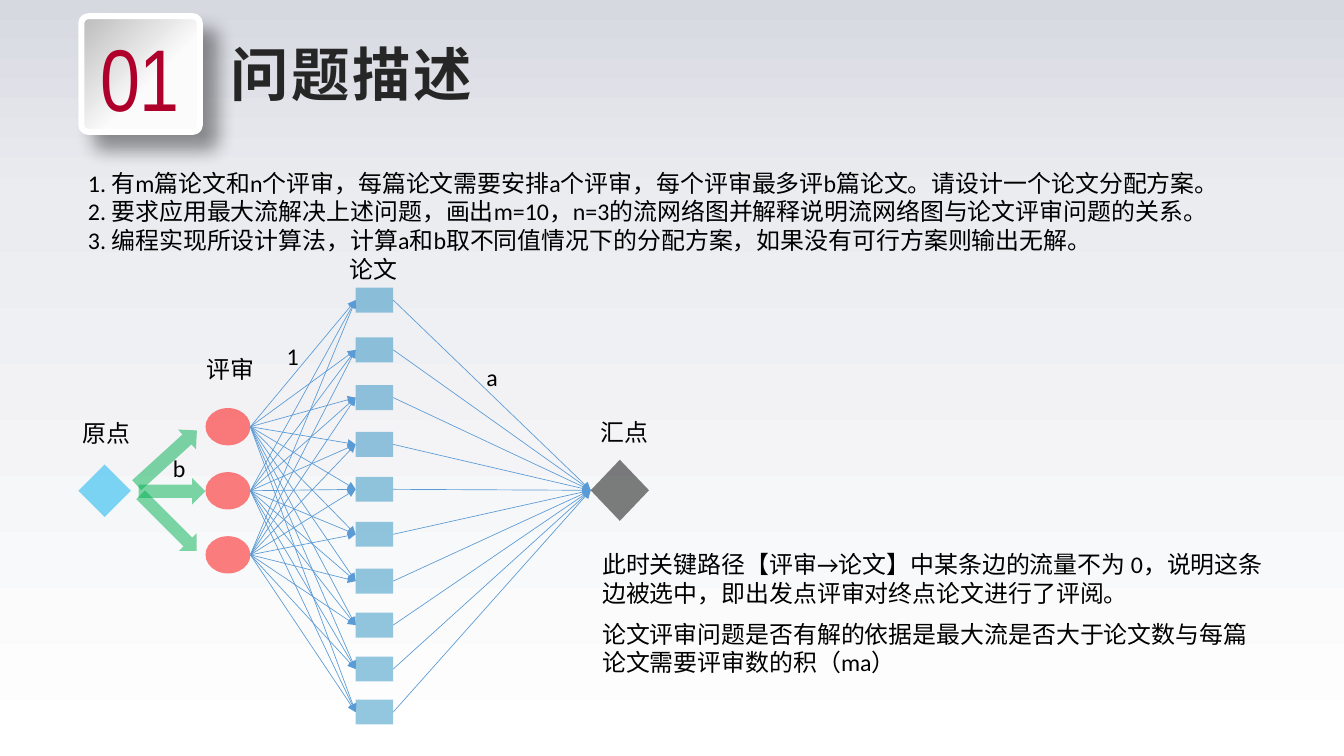
"""Builds the problem description slide with its paper review flow network."""
import lxml.etree
import pptx
import pptx.dml.color
import pptx.enum.shapes
import pptx.enum.text
import pptx.oxml.ns
import pptx.util

SHAPE = pptx.enum.shapes.MSO_SHAPE
ALIGN = pptx.enum.text.PP_ALIGN
LATIN, HAN, NUMERAL = "Calibri", "Noto Sans CJK SC", "Arial Narrow"
COLOURS = {
    "sky": "D7D9E1", "mist": "EBECF0", "white": "FFFFFF", "black": "000000",
    "title": "262626", "number": "AE002B", "card_dark": "BFBFBF", "card_light": "FBFBFB",
    "origin": "00B0F0", "reviewer": "FF0000", "supply": "00B050",
    "paper": "298EC0", "edge": "5B9BD5",
}
PAPER_ROWS = (38.05, 44.63, 50.95, 57.14, 63.08, 69.03, 75.22, 81.04, 86.85, 92.54)
SUPPLY_ARROWS = (
    ((10.31, 63.21, 4.98, 3.54), 0),
    ((9.39, 58.79, 6.05, 3.54), 317.7),
    ((9.6, 67.51, 5.9, 3.29), 45),
)
TASKS = (
    "1. 有m篇论文和n个评审，每篇论文需要安排a个评审，每个评审最多评b篇论文。请设计一个论文分配方案。",
    "2. 要求应用最大流解决上述问题，画出m=10，n=3的流网络图并解释说明流网络图与论文评审问题的关系。",
    "3. 编程实现所设计算法，计算a和b取不同值情况下的分配方案，如果没有可行方案则输出无解。",
)
LABELS = (
    ("b", (12.16, 59.42, 2.49, 5.06), LATIN),
    ("a", (35.49, 47.28, 2.49, 5.06), LATIN),
    ("1", (20.63, 44.5, 2.49, 5.06), LATIN),
    ("原点", (5.41, 55.37, 5.05, 5.06), HAN),
    ("汇点", (43.95, 55.25, 5.48, 5.06), HAN),
    ("评审", (14.65, 46.9, 5.12, 5.06), HAN),
    ("论文", (25.32, 33.63, 5.12, 5.06), HAN),
)
NOTES = (
    ("此时关键路径【评审→论文】中某条边的流量不为 0，说明这条边被选中，即出发点评审对终点论文进行了评阅。", 72.06),
    ("论文评审问题是否有解的依据是最大流是否大于论文数与每篇论文需要评审数的积（ma）", 81.29),
)


def child(parent, tag, **attributes):
    """Append a DrawingML element to its parent."""
    element = lxml.etree.SubElement(parent, pptx.oxml.ns.qn(tag))
    for key, value in attributes.items():
        element.set(key, str(value))
    return element


class Board:
    """Places styled elements on a slide divided into 100 columns and 100 rows."""

    def __init__(self, deck):
        self.column = deck.slide_width / 100
        self.row = deck.slide_height / 100
        self.slide = deck.slides.add_slide(deck.slide_layouts[1])

    def area(self, box):
        """Convert grid cells to slide lengths."""
        units = (self.column, self.row) * 2
        return [round(cells * unit) for cells, unit in zip(box, units)]

    def gradient(self, fill, element, stops, angle):
        """Fill with a linear gradient running clockwise by the angle."""
        fill.gradient()
        fill.gradient_angle = (360 - angle) % 360
        stop_list = next(element.iter(pptx.oxml.ns.qn("a:gsLst")))
        for stop in list(stop_list):
            stop_list.remove(stop)
        for position, colour in stops:
            stop = child(stop_list, "a:gs", pos=position * 1000)
            child(stop, "a:srgbClr", val=COLOURS[colour])

    def backdrop(self, stops):
        """Shade the whole slide from top to bottom."""
        self.gradient(self.slide.background.fill, self.slide.element, stops, 90)

    def typeset(self, holder, lines, size, font, colour="black", align=ALIGN.LEFT,
                wrap=True, bold=False, spacing=0):
        """Set and format the lines of a text holder."""
        frame = holder.text_frame
        frame.text = "\n".join(lines)
        frame.word_wrap = wrap
        frame.auto_size = pptx.enum.text.MSO_AUTO_SIZE.NONE
        for paragraph in frame.paragraphs:
            paragraph.alignment = align
            paragraph.space_before = pptx.util.Pt(0)
            paragraph.line_spacing = 0.84 if font == HAN else 1.0
            for run in paragraph.runs:
                run.font.size = pptx.util.Pt(size)
                run.font.bold = bold
                run.font.name = font
                run.font.color.rgb = pptx.dml.color.RGBColor.from_string(COLOURS[colour])
                properties = run._r.get_or_add_rPr()
                child(properties, "a:ea", typeface=font)
                if spacing:
                    properties.set("spc", str(spacing * 100))

    def place(self, holder, box):
        """Move a placeholder to its cells."""
        holder.left, holder.top, holder.width, holder.height = self.area(box)

    def title(self, heading, box):
        """Fill the title placeholder."""
        holder = self.slide.shapes.title
        self.place(holder, box)
        self.typeset(holder, [heading], 44, HAN, "title", bold=True, spacing=2)
        holder.text_frame.vertical_anchor = pptx.enum.text.MSO_ANCHOR.MIDDLE

    def tasks(self, lines, box):
        """Fill the body placeholder with lines that carry their own numbers."""
        holder = self.slide.placeholders[1]
        self.place(holder, box)
        self.typeset(holder, lines, 18, LATIN)
        for paragraph in holder.text_frame.paragraphs:
            properties = paragraph._p.get_or_add_pPr()
            properties.set("marL", "0")
            properties.set("indent", "0")
            child(properties, "a:buNone")

    def text(self, lines, box, size=18, font=LATIN, **style):
        """Add a text box."""
        self.typeset(self.slide.shapes.add_textbox(*self.area(box)), lines, size, font, **style)

    def node(self, kind, box, colour, rotation=0):
        """Add a half transparent shape without outline."""
        node = self.slide.shapes.add_shape(kind, *self.area(box))
        node.shadow.inherit = False
        node.rotation = rotation
        node.line.fill.background()
        node.fill.solid()
        node.fill.fore_color.rgb = pptx.dml.color.RGBColor.from_string(COLOURS[colour])
        tint = next(node.element.spPr.iter(pptx.oxml.ns.qn("a:srgbClr")))
        child(tint, "a:alpha", val=50000)
        return node

    def card(self, box, stops):
        """Add the raised rounded card behind the section number."""
        card = self.slide.shapes.add_shape(SHAPE.ROUNDED_RECTANGLE, *self.area(box))
        card.adjustments[0] = 0.06
        self.gradient(card.fill, card.element, stops, 45)
        card.line.color.rgb = pptx.dml.color.RGBColor.from_string(COLOURS["white"])
        card.line.width = pptx.util.Pt(4.5)
        card.shadow.inherit = False
        effects = card.element.spPr.find(pptx.oxml.ns.qn("a:effectLst"))
        shadow = child(effects, "a:outerShdw", blurRad=pptx.util.Pt(14),
                       dist=pptx.util.Pt(16), dir=45 * 60000, algn="tl", rotWithShape=0)
        child(child(shadow, "a:srgbClr", val=COLOURS["black"]), "a:alpha", val=40000)

    def edge(self, start, end):
        """Draw an arrow from the right side of one node to the left side of another."""
        edge = self.slide.shapes.add_connector(
            pptx.enum.shapes.MSO_CONNECTOR.STRAIGHT,
            start.left + start.width, start.top + start.height // 2,
            end.left, end.top + end.height // 2)
        edge.line.color.rgb = pptx.dml.color.RGBColor.from_string(COLOURS["edge"])
        edge.line.width = pptx.util.Pt(0.5)
        outline = edge.element.spPr.find(pptx.oxml.ns.qn("a:ln"))
        child(outline, "a:tailEnd", type="triangle")
        child(edge.element.spPr, "a:effectLst")


def main():
    """Build and save the slide."""
    deck = pptx.Presentation()
    deck.slide_width = pptx.util.Inches(14.06)
    deck.slide_height = pptx.util.Inches(7.91)
    board = Board(deck)
    board.backdrop([(0, "sky"), (26, "mist"), (100, "white")])
    board.title("问题描述", (16.43, 5.06, 52.92, 10.62))
    board.card((6.05, 2.15, 8.82, 15.3), [(3, "card_dark"), (59, "card_light")])
    board.text(["01"], (5.97, 2.53, 8.89, 15.3), 66, NUMERAL, colour="number",
               align=ALIGN.CENTER)
    board.tasks(TASKS, (5.83, 21.62, 89.69, 12.77))

    board.node(SHAPE.DIAMOND, (5.83, 61.44, 3.91, 6.95), "origin")
    reviewers = [board.node(SHAPE.OVAL, (15.29, 53.98 + 8.47 * rank, 3.34, 4.93), "reviewer")
                 for rank in range(3)]
    for box, rotation in SUPPLY_ARROWS:
        board.node(SHAPE.RIGHT_ARROW, box, "supply", rotation)
    papers = [board.node(SHAPE.RECTANGLE, (26.46, top, 2.8, 3.29), "paper")
              for top in PAPER_ROWS]
    sink = board.node(SHAPE.DIAMOND, (43.95, 60.81, 4.34, 8.09), "black")
    for reviewer in reviewers:
        for paper in papers:
            board.edge(reviewer, paper)
    for paper in papers:
        board.edge(paper, sink)

    for label, box, font in LABELS:
        board.text([label], box, font=font, wrap=False)
    for note, top in NOTES:
        board.text([note], (44.1, top, 50.78, 8.98))
    deck.save("out.pptx")


if __name__ == "__main__":
    main()
